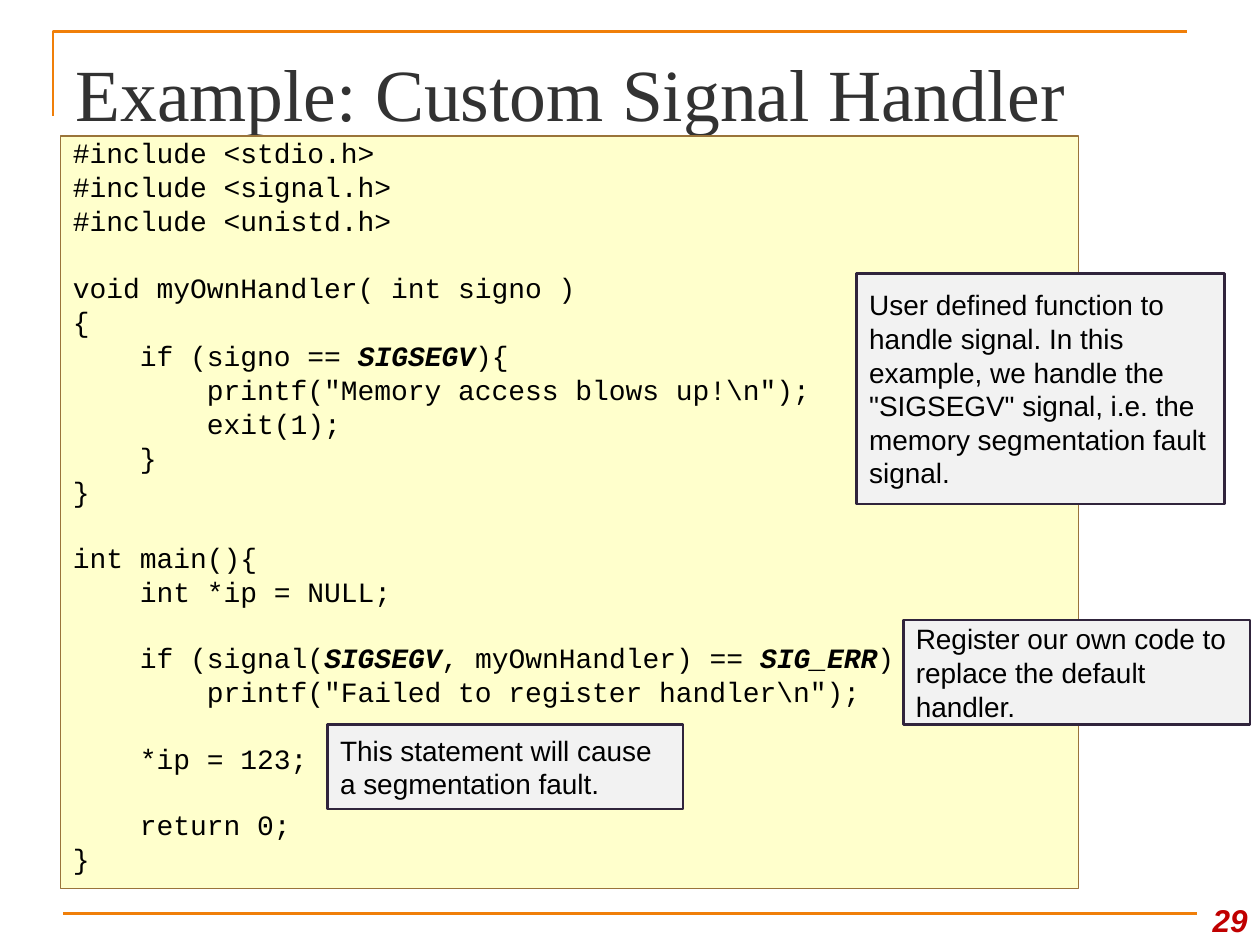
from lxml.etree import SubElement
from pptx import Presentation
from pptx.dml.color import RGBColor
from pptx.enum.shapes import MSO_CONNECTOR, MSO_SHAPE
from pptx.enum.text import MSO_ANCHOR, PP_ALIGN
from pptx.oxml.ns import qn
from pptx.util import Inches, Pt

# Content; backticks mark the signal constants set in bold italic
TITLE = "Example: Custom Signal Handler"
PAGE = "29"
CODE = [
    ["#include <stdio.h>",
     "#include <signal.h>",
     "#include <unistd.h>"],
    ["void myOwnHandler( int signo )",
     "{",
     "    if (signo == `SIGSEGV`){",
     '        printf("Memory access blows up!\\n");',
     "        exit(1);",
     "    }",
     "}"],
    ["int main(){",
     "    int *ip = NULL;"],
    ["    if (signal(`SIGSEGV`, myOwnHandler) == `SIG_ERR`)",
     '        printf("Failed to register handler\\n");'],
    ["    *ip = 123;"],
    ["    return 0;",
     "}"],
]
# Left, top, width, height in percent of the slide
CALLOUTS = [
    ((68, 28.93, 29.2, 24.4),
     "User defined function to handle signal. In this example, we handle the "
     '"SIGSEGV" signal, i.e. the memory segmentation fault signal.'),
    ((71.7, 65.6, 27.5, 11.07),
     "Register our own code to replace the default handler."),
    ((26, 76.67, 28.2, 8.93),
     "This statement will cause a segmentation fault."),
]
TITLE_BOX = (5, 4, 90, 10.4)
CODE_BOX = (4.8, 14.4, 80.8, 79.6)
PAGE_BOX = (94.2, 93.33, 5.8, 6.67)
FRAME = [(4.2, 12.27), (4.2, 3.33), (94.2, 3.33)]
FOOT_RULE = (5, 96.67, 95, 96.67)

ORANGE, BLACK = "F07F09", "000000"
LINE_GAP, BLOCK_GAP = 4.06, 22.62  # points before a line, before a block

prs = Presentation()
prs.slide_width, prs.slide_height = Inches(10), Inches(7.5)
s = prs.slides.add_slide(prs.slide_layouts[5])


def rgb(color):
    return RGBColor.from_string(color)


def emu(*shares):
    """Turn alternating x, y percentages into slide lengths."""
    sides = (prs.slide_width, prs.slide_height)
    return [int(v * sides[i % 2] / 100) for i, v in enumerate(shares)]


def set_line(sp, color, width):
    sp.line.color.rgb = rgb(color)
    sp.line.width = Pt(width)


def add_run(p, text, font, size, color, strong=False):
    r = p.add_run()
    r.text = text
    r.font.name, r.font.size = font, Pt(size)
    r.font.color.rgb = rgb(color)
    r.font.bold = r.font.italic = strong


def add_panel(box, fill, line, width, anchor):
    sp = s.shapes.add_shape(MSO_SHAPE.RECTANGLE, *emu(*box))
    sp.shadow.inherit = False
    sp.fill.solid()
    sp.fill.fore_color.rgb = rgb(fill)
    set_line(sp, line, width)
    tf = sp.text_frame
    tf.word_wrap = True
    tf.vertical_anchor = anchor
    tf.paragraphs[0].alignment = PP_ALIGN.LEFT
    return tf


# Corner frame and foot rule
points = [emu(*pt) for pt in FRAME]
builder = s.shapes.build_freeform(*points[0])
builder.add_line_segments(points[1:], close=False)
frame = builder.convert_to_shape()
frame.shadow.inherit = False
frame.fill.background()
set_line(frame, ORANGE, 1.5)

rule = s.shapes.add_connector(MSO_CONNECTOR.STRAIGHT, *emu(*FOOT_RULE))
set_line(rule, ORANGE, 1.5)
SubElement(rule._element.spPr, qn("a:effectLst"))

# Title
title = s.shapes.title
title.left, title.top, title.width, title.height = emu(*TITLE_BOX)
tf = title.text_frame
tf.vertical_anchor = MSO_ANCHOR.BOTTOM
tf.margin_bottom = 0
tf.paragraphs[0].alignment = PP_ALIGN.LEFT
add_run(tf.paragraphs[0], TITLE, "Times New Roman", 42, "323232")

# Code listing: a wider gap opens each block
tf = add_panel(CODE_BOX, "FFFFCC", "9A743A", 0.75, MSO_ANCHOR.TOP)
for b, block in enumerate(CODE):
    for n, text in enumerate(block):
        first = b == n == 0
        p = tf.paragraphs[0] if first else tf.add_paragraph()
        p.alignment = PP_ALIGN.LEFT
        p.line_spacing = 0.8
        if not first:
            p.space_before = Pt(LINE_GAP if n else BLOCK_GAP)
        for i, part in enumerate(text.split("`")):
            add_run(p, part, "Courier New", 16, BLACK, strong=i % 2 == 1)

# Slide number
tf = s.shapes.add_textbox(*emu(*PAGE_BOX)).text_frame
tf.word_wrap = True
tf.vertical_anchor = MSO_ANCHOR.BOTTOM
tf.paragraphs[0].alignment = PP_ALIGN.RIGHT
add_run(tf.paragraphs[0], PAGE, "Arial", 18, "C00000", strong=True)

# Callouts
for box, text in CALLOUTS:
    tf = add_panel(box, "F2F2F2", "30243C", 1.5, MSO_ANCHOR.MIDDLE)
    add_run(tf.paragraphs[0], text, "Arial", 16, BLACK)

prs.save("out.pptx")
